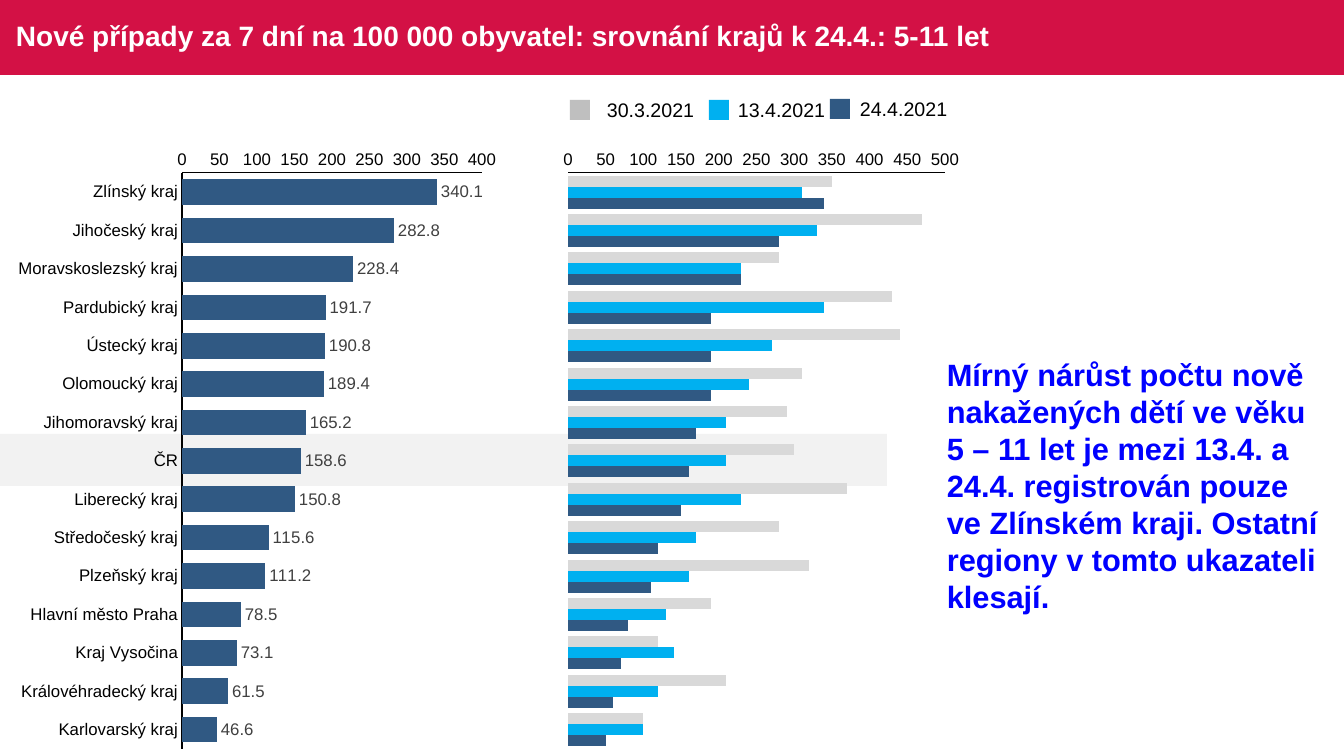
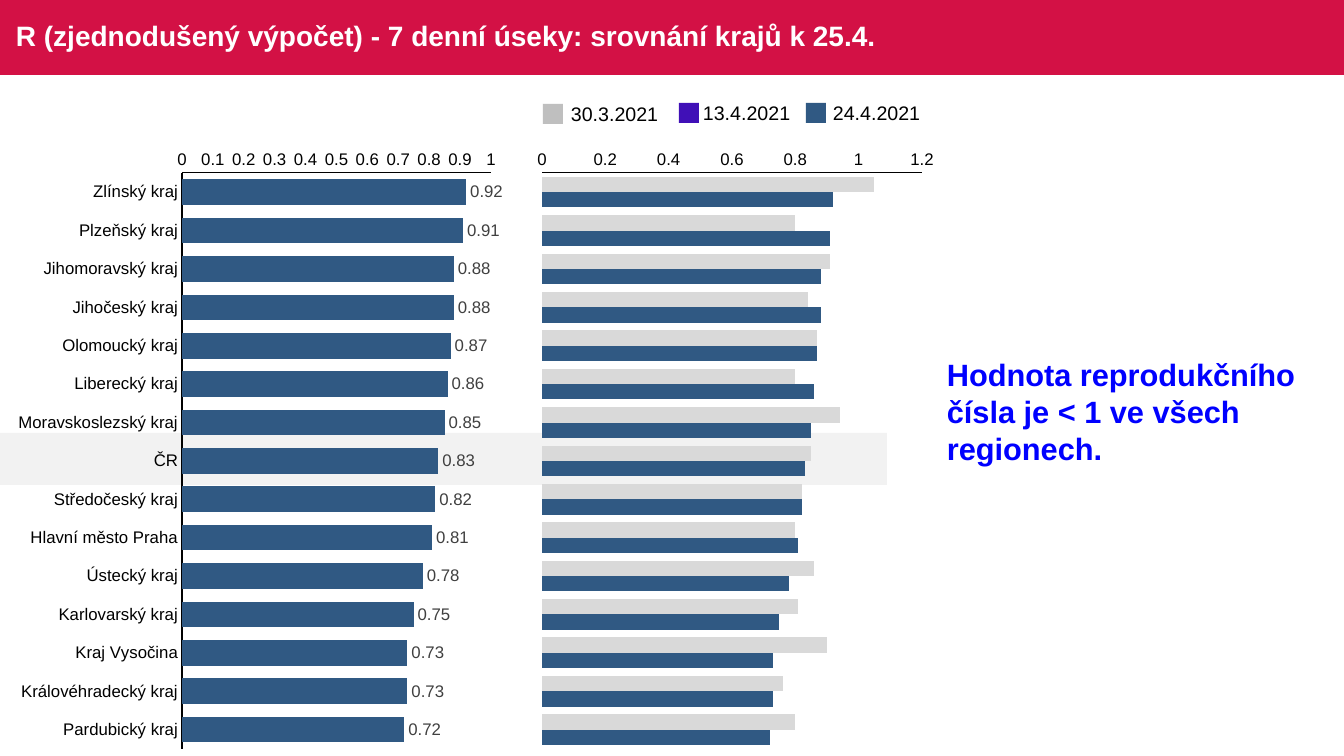
from lxml import etree
from pptx import Presentation
from pptx import util as u
from pptx.chart.data import CategoryChartData
from pptx.dml.color import RGBColor
from pptx.enum import chart as ch, shapes, text
from pptx.oxml.ns import qn

# Shared style
CRIMSON = RGBColor(0xD3, 0x11, 0x45)
WHITE = RGBColor(0xFF, 0xFF, 0xFF)
BLACK = RGBColor(0, 0, 0)
BLUE = RGBColor(0, 0, 0xFF)
NAVY = RGBColor(0x30, 0x59, 0x83)
SKY = RGBColor(0x00, 0xB0, 0xF0)
VIOLET = RGBColor(0x40, 0x10, 0xB7)
PALE = RGBColor(0xF2, 0xF2, 0xF2)
LIGHT = RGBColor(0xD9, 0xD9, 0xD9)
SILVER = RGBColor(0xBF, 0xBF, 0xBF)
DARK = RGBColor(0x40, 0x40, 0x40)

SLIDE_W, SLIDE_H = 1344, 756
SCALE = 12192000 / SLIDE_W
FONT = "Arial"
TITLE_FONT = {"size": u.Pt(20), "bold": True}
LEGEND_FONT = {"size": u.Pt(14)}
COMMENT_FONT = {"size": u.Pt(22), "bold": True}
CHART_FONT = {"size": u.Pt(12)}

HEADER_H = 75
CHART_TOP, CHART_H = 138, 624
PLOT_TOP, PLOT_H = 173, 576
RANK_LEFT, RANK_W, RANK_PLOT_LEFT = 8, 498, 182
COMPARE_W, COMPARE_PLOT_INSET = 412, 13
SWATCH = 20

# Content; legend entries are label, colour, swatch left, text left, swatch top
SLIDES = [
    {
        "title": "Nové případy za 7 dní na 100 000 obyvatel: srovnání krajů k 24.4.: 5-11 let",
        "comment": "Mírný nárůst počtu nově nakažených dětí ve věku 5 – 11 let je mezi "
                   "13.4. a 24.4. registrován pouze ve Zlínském kraji. Ostatní regiony "
                   "v tomto ukazateli klesají.",
        "comment_h": 271,
        "highlight_top": 434,
        "legend": [("30.3.2021", SILVER, 570, 597, 100),
                   ("13.4.2021", SKY, 709, 728, 100),
                   ("24.4.2021", NAVY, 830, 850, 99)],
        "regions": [
            ("Zlínský kraj", 340.1), ("Jihočeský kraj", 282.8),
            ("Moravskoslezský kraj", 228.4), ("Pardubický kraj", 191.7),
            ("Ústecký kraj", 190.8), ("Olomoucký kraj", 189.4),
            ("Jihomoravský kraj", 165.2), ("ČR", 158.6), ("Liberecký kraj", 150.8),
            ("Středočeský kraj", 115.6), ("Plzeňský kraj", 111.2),
            ("Hlavní město Praha", 78.5), ("Kraj Vysočina", 73.1),
            ("Královéhradecký kraj", 61.5), ("Karlovarský kraj", 46.6)],
        "label_format": "#,##0.0",
        "rank_axis": (400, 50), "rank_plot_w": 300,
        "comparison": [
            (LIGHT, [350, 470, 280, 430, 440, 310, 290, 300, 370, 280, 320, 190, 120, 210, 100]),
            (SKY, [310, 330, 230, 340, 270, 240, 210, 210, 230, 170, 160, 130, 140, 120, 100]),
            (NAVY, [340, 280, 230, 190, 190, 190, 170, 160, 150, 120, 110, 80, 70, 60, 50])],
        "compare_left": 555, "compare_axis": (500, 50), "compare_plot_w": 377,
    },
    {
        "title": "R (zjednodušený výpočet) - 7 denní úseky: srovnání krajů k 25.4.",
        "comment": "Hodnota reprodukčního čísla je < 1 ve všech regionech.",
        "comment_h": 122,
        "highlight_top": 433,
        "legend": [("30.3.2021", SILVER, 543, 561, 104),
                   ("13.4.2021", VIOLET, 679, 693, 103),
                   ("24.4.2021", NAVY, 806, 823, 103)],
        "regions": [
            ("Zlínský kraj", 0.92), ("Plzeňský kraj", 0.91), ("Jihomoravský kraj", 0.88),
            ("Jihočeský kraj", 0.88), ("Olomoucký kraj", 0.87), ("Liberecký kraj", 0.86),
            ("Moravskoslezský kraj", 0.85), ("ČR", 0.83), ("Středočeský kraj", 0.82),
            ("Hlavní město Praha", 0.81), ("Ústecký kraj", 0.78),
            ("Karlovarský kraj", 0.75), ("Kraj Vysočina", 0.73),
            ("Královéhradecký kraj", 0.73), ("Pardubický kraj", 0.72)],
        "label_format": "#,##0.00",
        "rank_axis": (1, 0.1), "rank_plot_w": 309,
        "comparison": [
            (LIGHT, [1.05, 0.8, 0.91, 0.84, 0.87, 0.8, 0.94, 0.85,
                     0.82, 0.8, 0.86, 0.81, 0.9, 0.76, 0.8]),
            (NAVY, [0.92, 0.91, 0.88, 0.88, 0.87, 0.86, 0.85, 0.83,
                    0.82, 0.81, 0.78, 0.75, 0.73, 0.73, 0.72])],
        "compare_left": 529, "compare_axis": (1.2, 0.2), "compare_plot_w": 380,
    },
]


def px(*lengths):
    return [u.Emu(round(length * SCALE)) for length in lengths]


def set_font(font, color, formats):
    font.name = FONT
    font.color.rgb = color
    for key, value in formats.items():
        setattr(font, key, value)


def add_block(slide, box, color):
    block = slide.shapes.add_shape(shapes.MSO_SHAPE.RECTANGLE, *px(*box))
    block.shadow.inherit = False
    block.fill.solid()
    block.fill.fore_color.rgb = color
    block.line.fill.background()


def add_text(slide, box, words, color, formats, wrap=True,
             anchor=text.MSO_ANCHOR.TOP, spacing=1.0):
    frame = slide.shapes.add_textbox(*px(*box)).text_frame
    frame.word_wrap = wrap
    frame.vertical_anchor = anchor
    paragraph = frame.paragraphs[0]
    paragraph.line_spacing = spacing
    run = paragraph.add_run()
    run.text = words
    set_font(run.font, color, formats)


def place_plot(chart, x, y, w, h):
    """Fix the inner plot area, given as fractions of the chart."""
    area = chart._chartSpace.chart.plotArea
    for old in area.findall(qn("c:layout")):
        area.remove(old)
    layout = etree.Element(qn("c:layout"))
    manual = etree.SubElement(layout, qn("c:manualLayout"))
    for tag, value in [("layoutTarget", "inner"), ("xMode", "edge"), ("yMode", "edge"),
                       ("x", x), ("y", y), ("w", w), ("h", h)]:
        etree.SubElement(manual, qn("c:" + tag)).set("val", str(value))
    area.insert(0, layout)


def add_bars(slide, left, width, plot_left, plot_w, names, series, scale):
    data = CategoryChartData()
    data.categories = names
    for number, (_, values) in enumerate(series, 1):
        data.add_series(f"Series {number}", values)
    chart = slide.shapes.add_chart(ch.XL_CHART_TYPE.BAR_CLUSTERED,
                                   *px(left, CHART_TOP, width, CHART_H), data).chart
    chart.has_title = False
    chart.has_legend = False
    set_font(chart.font, BLACK, CHART_FONT)
    place_plot(chart, (plot_left - left) / width, (PLOT_TOP - CHART_TOP) / CHART_H,
               plot_w / width, PLOT_H / CHART_H)

    # Axes
    for axis in (chart.category_axis, chart.value_axis):
        axis.has_major_gridlines = False
        axis.major_tick_mark = axis.minor_tick_mark = ch.XL_TICK_MARK.NONE
        axis.format.line.color.rgb = BLACK
        axis.format.line.width = u.Pt(0.75)
        set_font(axis.tick_labels.font, BLACK, CHART_FONT)
    chart.category_axis.reverse_order = True
    chart.value_axis.minimum_scale = 0
    chart.value_axis.maximum_scale, chart.value_axis.major_unit = scale

    # Bars
    plot = chart.plots[0]
    plot.gap_width, plot.overlap, plot.vary_by_categories = 50, 0, False
    for bars, (color, _) in zip(plot.series, series):
        bars.invert_if_negative = False
        bars.format.fill.solid()
        bars.format.fill.fore_color.rgb = color
    return chart


def build_slide(deck, content):
    slide = deck.slides.add_slide(deck.slide_layouts[6])
    names, latest = zip(*content["regions"])

    # Header and highlighted row
    add_block(slide, (0, 0, SLIDE_W, HEADER_H), CRIMSON)
    add_block(slide, (0, content["highlight_top"], 887, 52), PALE)
    add_text(slide, (6, 0, 1211, HEADER_H), content["title"], WHITE, TITLE_FONT,
             anchor=text.MSO_ANCHOR.MIDDLE, spacing=0.9)

    # Comparison of dates
    left = content["compare_left"]
    comparison = add_bars(slide, left, COMPARE_W, left + COMPARE_PLOT_INSET,
                          content["compare_plot_w"], [str(n + 1) for n in range(len(names))],
                          content["comparison"], content["compare_axis"])
    comparison.category_axis.visible = False

    # Ranking of regions
    ranking = add_bars(slide, RANK_LEFT, RANK_W, RANK_PLOT_LEFT, content["rank_plot_w"],
                       names, [(NAVY, latest)], content["rank_axis"])
    labels = ranking.plots[0].series[0].data_labels
    labels.show_value = True
    labels.number_format = content["label_format"]
    labels.number_format_is_linked = False
    labels.position = ch.XL_LABEL_POSITION.OUTSIDE_END
    set_font(labels.font, DARK, CHART_FONT)

    # Legend and comment
    for label, color, swatch_left, text_left, top in content["legend"]:
        add_block(slide, (swatch_left, top, SWATCH, SWATCH), color)
        add_text(slide, (text_left, top - 7, 108, 34), label, BLACK, LEGEND_FONT, wrap=False)
    add_text(slide, (937, 351, 402, content["comment_h"]), content["comment"],
             BLUE, COMMENT_FONT)


def main():
    deck = Presentation()
    deck.slide_width, deck.slide_height = px(SLIDE_W, SLIDE_H)
    for content in SLIDES:
        build_slide(deck, content)
    deck.save("out.pptx")


if __name__ == "__main__":
    main()
